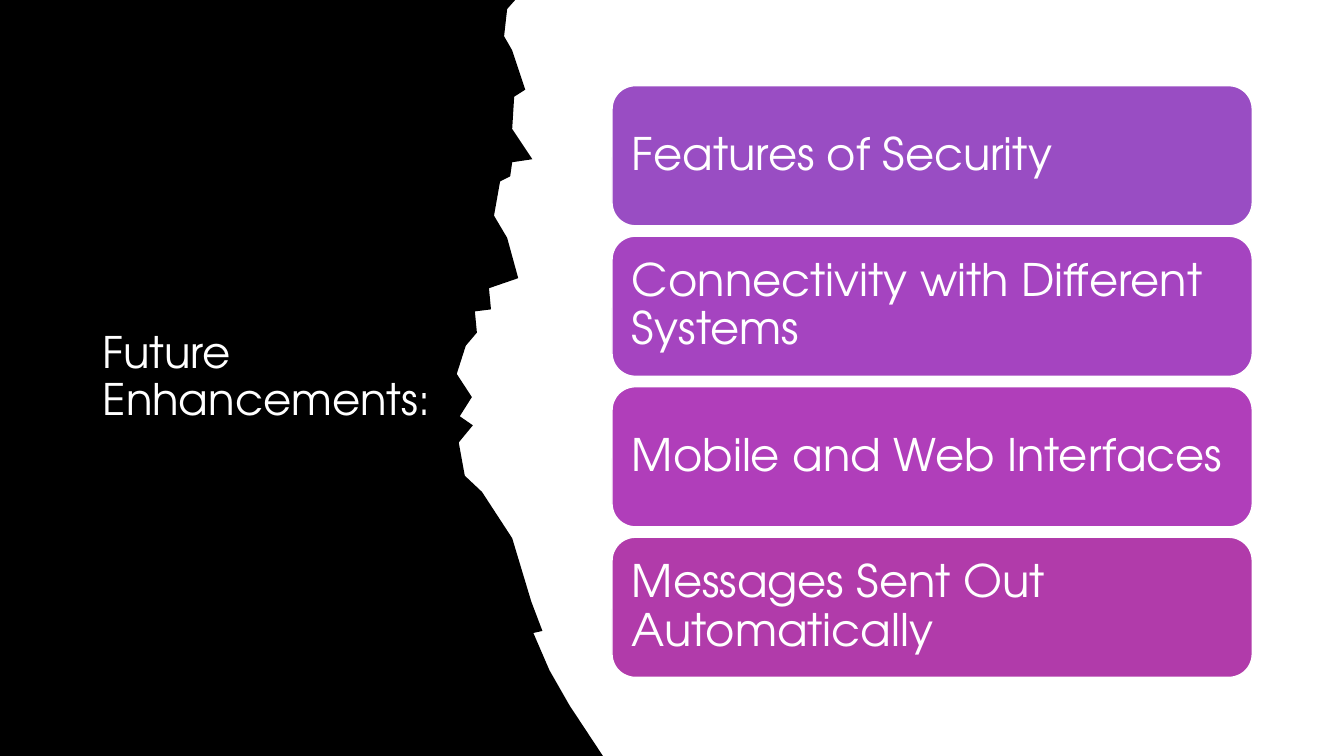
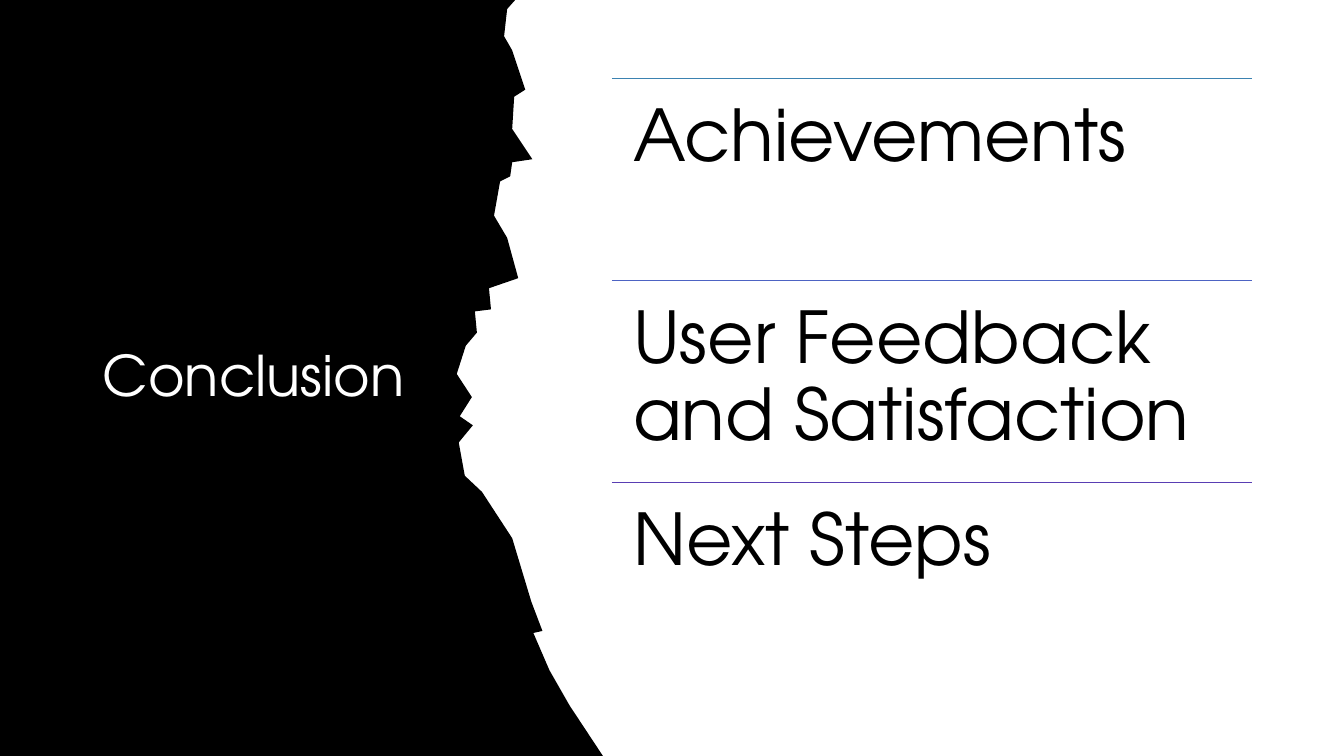
"""Build two slides with a torn black title panel and a list at the right."""
from lxml.etree import SubElement
from pptx import Presentation
from pptx.dml.color import RGBColor
from pptx.enum.shapes import MSO_CONNECTOR as Connector, MSO_SHAPE as Preset
from pptx.enum.text import MSO_ANCHOR as Anchor, MSO_AUTO_SIZE as AutoSize, PP_ALIGN as Align
from pptx.oxml.ns import qn
from pptx.util import Pt

PX = 9144
FONT = "TeX Gyre Adventor"
BLACK = RGBColor.from_string("000000")
WHITE = RGBColor.from_string("FFFFFF")
PURPLE = RGBColor.from_string("994DC3")
VIOLET = RGBColor.from_string("A544C0")
ORCHID = RGBColor.from_string("B03EBA")
MAGENTA = RGBColor.from_string("B13BAA")
BLUE = RGBColor.from_string("3B82B1")
INDIGO = RGBColor.from_string("4D63C3")
DEEP_VIOLET = RGBColor.from_string("593EB3")

ENHANCEMENTS = [
    ("Features of Security", PURPLE),
    ("Connectivity with Different Systems", VIOLET),
    ("Mobile and Web Interfaces", ORCHID),
    ("Messages Sent Out Automatically", MAGENTA),
]
CONCLUSIONS = [
    ("Achievements", BLUE),
    ("User Feedback and Satisfaction", INDIGO),
    ("Next Steps", DEEP_VIOLET),
]

SLIDE_WIDTH, SLIDE_HEIGHT = 1333, 750
TITLE_BOX = (92, 78, 350, 594)
LIST_LEFT, LIST_WIDTH = 607, 635
CARD_TOP, CARD_BOTTOM, CARD_HEIGHT = 85, 672, 139
RULE_TOP, RULE_BOTTOM = 78, 679

TORN_EDGE = [
    (511, 0), (503, 9), (500, 36), (508, 50), (521, 89), (510, 96),
    (508, 128), (528, 158), (508, 161), (506, 175), (496, 180),
    (490, 214), (503, 236), (514, 276), (485, 286), (487, 307),
    (471, 309), (473, 330), (462, 343), (453, 371), (468, 394),
    (456, 413), (469, 422), (455, 439), (461, 472), (478, 488),
    (508, 534), (527, 597), (538, 626), (529, 628), (545, 665),
    (565, 700), (598, SLIDE_HEIGHT),
]


def emu(*lengths):
    return [round(length * PX) for length in lengths]


def write(box, text, size, color=WHITE, anchor=Anchor.MIDDLE, inset=None):
    frame = box.text_frame
    frame.word_wrap = True
    frame.auto_size = AutoSize.NONE
    frame.vertical_anchor = anchor
    if inset is not None:
        margin = inset * PX
        frame.margin_left = frame.margin_right = margin
        frame.margin_top = frame.margin_bottom = margin
    para = frame.paragraphs[0]
    para.alignment = Align.LEFT
    para.line_spacing = 0.9
    span = para.add_run()
    span.text = text
    span.font.name = FONT
    span.font.size = Pt(size)
    span.font.color.rgb = color


def add_page(deck, title, size):
    page = deck.slides.add_slide(deck.slide_layouts[5])
    heading = page.shapes.title
    heading.left, heading.top, heading.width, heading.height = emu(*TITLE_BOX)
    write(heading, title, size)
    builder = page.shapes.build_freeform(0, 0, scale=PX)
    builder.add_line_segments(TORN_EDGE + [(0, SLIDE_HEIGHT)], close=True)
    panel = builder.convert_to_shape()
    panel.shadow.inherit = False
    panel.fill.solid()
    panel.fill.fore_color.rgb = BLACK
    panel.line.fill.background()
    heading.element.addprevious(panel.element)
    return page


def add_cards(page, items):
    pitch = (CARD_BOTTOM - CARD_HEIGHT - CARD_TOP) / (len(items) - 1)
    for index, (text, color) in enumerate(items):
        place = emu(LIST_LEFT, CARD_TOP + index * pitch, LIST_WIDTH, CARD_HEIGHT)
        card = page.shapes.add_shape(Preset.ROUNDED_RECTANGLE, *place)
        card.shadow.inherit = False
        card.fill.solid()
        card.fill.fore_color.rgb = color
        card.line.color.rgb = WHITE
        card.line.width = Pt(1)
        write(card, text, 32, inset=13)


def add_ruled_list(page, items):
    pitch = (RULE_BOTTOM - RULE_TOP) / len(items)
    for index, (text, color) in enumerate(items):
        left, top, width, height = emu(LIST_LEFT, RULE_TOP + index * pitch, LIST_WIDTH, pitch)
        rule = page.shapes.add_connector(Connector.STRAIGHT, left, top, left + width, top)
        rule.line.color.rgb = color
        rule.line.width = Pt(1)
        SubElement(rule.element.spPr, qn("a:effectLst"))
        box = page.shapes.add_textbox(left, top, width, height)
        write(box, text, 51, color=BLACK, anchor=Anchor.TOP, inset=21)


def main():
    deck = Presentation()
    deck.slide_width, deck.slide_height = emu(SLIDE_WIDTH, SLIDE_HEIGHT)
    add_cards(add_page(deck, "Future Enhancements:", 31), ENHANCEMENTS)
    add_ruled_list(add_page(deck, "Conclusion", 40), CONCLUSIONS)
    deck.save("out.pptx")


if __name__ == "__main__":
    main()
